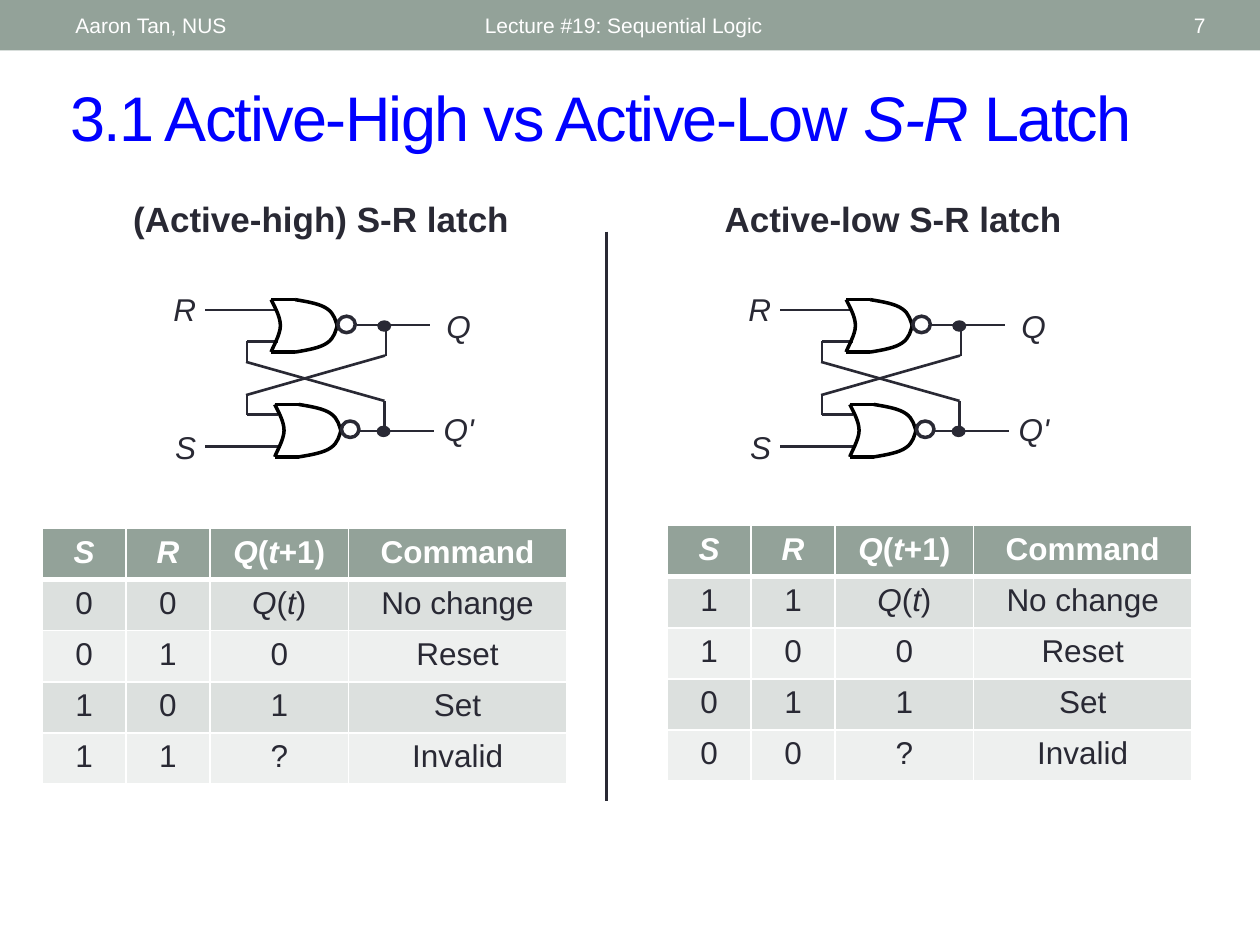
import pptx
import pptx.util
import pptx.dml.color
import pptx.enum.shapes
import pptx.enum.text
import pptx.oxml.ns
import lxml.etree

Pt = pptx.util.Pt
SHAPE = pptx.enum.shapes.MSO_SHAPE
ALIGN = pptx.enum.text.PP_ALIGN
ANCHOR = pptx.enum.text.MSO_ANCHOR
qn = pptx.oxml.ns.qn
HUES = {"sage": "93A299", "ink": "292934", "blue": "0000FF", "white": "FFFFFF",
        "black": "000000", "dark": "DCE0DE", "light": "EEF0EF"}

# Wires of one latch, from its top left corner: x1, y1, x2, y2
WIRES = [
    (25.4, 15.2, 67.1, 15.2), (25.4, 93, 67.1, 93),
    (49.2, 33.1, 67.1, 33.1), (49.2, 75, 67.1, 75),
    (49.2, 33.1, 49.2, 45.2), (49.2, 63.4, 49.2, 75),
    (111.8, 23.8, 153.5, 23.8), (113.9, 84.3, 155.9, 84.3),
    (127.6, 67, 127.6, 85.7), (128.5, 24.5, 128.5, 41.5),
    (48.6, 44.8, 127.7, 67.1), (128, 41.2, 48.6, 63.8),
]
GATES = [(65, 69.1), (62.9, 9.2)]
DOTS = [(123.6, 81.6), (124, 21.4)]
LABELS = [("R", 0, 0, 27.4), ("S", 1, 79.2, 27.4),
          ("Q", 156, 10.1, 33), ("Q'", 154.4, 68.8, 33)]

# Bezier points of the gate, from its top left corner
TALL = 30
BACK = [(0, 0), (2.5, 5), (5.3, 10), (5.3, 15), (5.3, 20), (0.8, 27.5), (0, TALL)]
NOSE = [(13.7, 0), (20.9, 1.2), (28.1, 2.4), (32.1, 5.3), (36.1, 8), (37, 12.2), (38.1, 16.3)]

HEAD = ["*S*", "*R*", "*Q*(*t*+1)", "Command"]
TAIL = [("*Q*(*t*)", "No change"), ("0", "Reset"), ("1", "Set"), ("?", "Invalid")]
WIDTHS = [48, 48, 79.2, 124.6]


def rgb(hue):
    """Give the colour of a name."""
    return pptx.dml.color.RGBColor.from_string(HUES[hue])


def write(frame, text, size=18, hue="ink", bold=False, align=None, track=None):
    """Fill a text frame; parts between asterisks are italic."""
    para = frame.paragraphs[0]
    para.alignment = align
    for i, part in enumerate(text.split("*")):
        if not part:
            continue
        run = para.add_run()
        run.text = part
        run.font.name = "Arial"
        run.font.size = Pt(size)
        run.font.bold = bold
        run.font.italic = i % 2 == 1
        run.font.color.rgb = rgb(hue)
        if track:
            run.font._element.set("spc", str(track * 100))


def label(host, text, x, y, w, h, anchor=ANCHOR.TOP, **form):
    """Add a text box."""
    frame = host.add_textbox(Pt(x), Pt(y), Pt(w), Pt(h)).text_frame
    frame.word_wrap = True
    frame.vertical_anchor = anchor
    write(frame, text, **form)


def wire(host, x1, y1, x2, y2, hue="ink", width=1.5):
    """Add a straight line."""
    line = host.add_connector(pptx.enum.shapes.MSO_CONNECTOR.STRAIGHT,
                              Pt(x1), Pt(y1), Pt(x2), Pt(y2))
    line.line.color.rgb = rgb(hue)
    line.line.width = Pt(width)
    lxml.etree.SubElement(line._element.spPr, qn("a:effectLst"))


def solid(host, kind, x, y, w, h, fill=None, edge=None, width=2):
    """Add a preset shape."""
    item = host.add_shape(kind, Pt(x), Pt(y), Pt(w), Pt(h))
    item.shadow.inherit = False
    if fill:
        item.fill.solid()
        item.fill.fore_color.rgb = rgb(fill)
    else:
        item.fill.background()
    if edge:
        item.line.color.rgb = rgb(edge)
        item.line.width = Pt(width)
    else:
        item.line.fill.background()


def curve(host, knots, x, y):
    """Add an open Bezier curve with its corner at x, y."""
    spots = [(Pt(x + a), Pt(y + b)) for a, b in knots]
    pen = host.build_freeform(*spots[0])
    pen.add_line_segments(spots[1:], close=False)
    item = pen.convert_to_shape()
    item.shadow.inherit = False
    item.fill.background()
    item.line.color.rgb = rgb("black")
    item.line.width = Pt(2)
    legs = list(item._element.iter(qn("a:lnTo")))
    for k in range(0, len(legs), 3):
        bend = lxml.etree.Element(qn("a:cubicBezTo"))
        legs[k].addprevious(bend)
        for leg in legs[k:k + 3]:
            bend.append(leg[0])
            leg.getparent().remove(leg)


def gate(host, x, y):
    """Draw a NOR gate."""
    curve(host, BACK, x, y)
    for rise in (0, TALL):
        wire(host, x, y + rise, x + NOSE[0][0], y + rise, "black", 2)
    curve(host, NOSE, x, y)
    curve(host, [(a, TALL - b) for a, b in NOSE], x, y)
    solid(host, SHAPE.OVAL, x + 38.1, y + 9.5, 10, 9.4, edge="ink")


def latch(slide, x, y):
    """Draw two crossed gates as one group."""
    host = slide.shapes.add_group_shape().shapes
    for a, b, c, d in WIRES:
        wire(host, x + a, y + b, x + c, y + d)
    for a, b in GATES:
        gate(host, x + a, y + b)
    for a, b in DOTS:
        solid(host, SHAPE.OVAL, x + a, y + b, 7.2, 5.8, "ink", "ink", 0.75)
    for text, a, b, w in LABELS:
        label(host, f"*{text}*", x + a, y + b, w, 28.8)


def border(cell, base):
    """Give a cell white borders, with a base line of its own width."""
    props = cell._tc.get_or_add_tcPr()
    for i, (side, width) in enumerate([("L", 1), ("R", 1), ("T", 1), ("B", base)]):
        edge = lxml.etree.Element(qn("a:ln" + side), w=str(Pt(width)))
        fill = lxml.etree.SubElement(edge, qn("a:solidFill"))
        lxml.etree.SubElement(fill, qn("a:srgbClr"), val=HUES["white"])
        props.insert(i, edge)


def truth(slide, x, y, pairs):
    """Add the table of states for the input pairs."""
    rows = [HEAD] + [[*pair, *tail] for pair, tail in zip(pairs, TAIL)]
    tall = 29.2
    grid = slide.shapes.add_table(len(rows), len(HEAD), Pt(x), Pt(y),
                                  Pt(sum(WIDTHS)), Pt(tall * len(rows))).table
    for col, width in zip(grid.columns, WIDTHS):
        col.width = Pt(width)
    for r, row in enumerate(rows):
        grid.rows[r].height = Pt(tall)
        fill = "sage" if r == 0 else "dark" if r % 2 else "light"
        for c, text in enumerate(row):
            cell = grid.cell(r, c)
            cell.fill.solid()
            cell.fill.fore_color.rgb = rgb(fill)
            if r == 0:
                border(cell, 3)
            write(cell.text_frame, text, hue="ink" if r else "white",
                  bold=r == 0, align=ALIGN.CENTER)


def main():
    """Build the slide."""
    deck = pptx.Presentation()
    deck.slide_width, deck.slide_height = Pt(720), Pt(540)
    slide = deck.slides.add_slide(deck.slide_layouts[6])
    host = slide.shapes
    solid(host, SHAPE.RECTANGLE, 0, 0, 720, 28.8, "sage")
    label(host, "3.1 Active-High vs Active-Low *S-R* Latch", 33.1, 41.4, 675.4, 50.4,
          ANCHOR.MIDDLE, size=36, hue="blue", track=-1)
    for text, x, w, align in [("Lecture #19: Sequential Logic", 270, 324, ALIGN.LEFT),
                              ("7", 627.6, 68.4, ALIGN.RIGHT),
                              ("Aaron Tan, NUS", 36, 228, ALIGN.LEFT)]:
        label(host, text, x, 1.4, w, 26, ANCHOR.MIDDLE, size=12, hue="white", align=align)
    for x in (92, 420.6):
        latch(slide, x, 162)
    wire(host, 346.5, 132.3, 346.5, 457.9, width=2)
    label(host, "(Active-high) S-R latch", 69, 109.4, 235.4, 31.7, size=20, bold=True)
    label(host, "Active-low S-R latch", 406.9, 109.4, 216.7, 31.7, size=20, bold=True)
    truth(slide, 24, 302, ["00", "01", "10", "11"])
    truth(slide, 381.2, 300.4, ["11", "10", "01", "00"])
    deck.save("out.pptx")


main()
